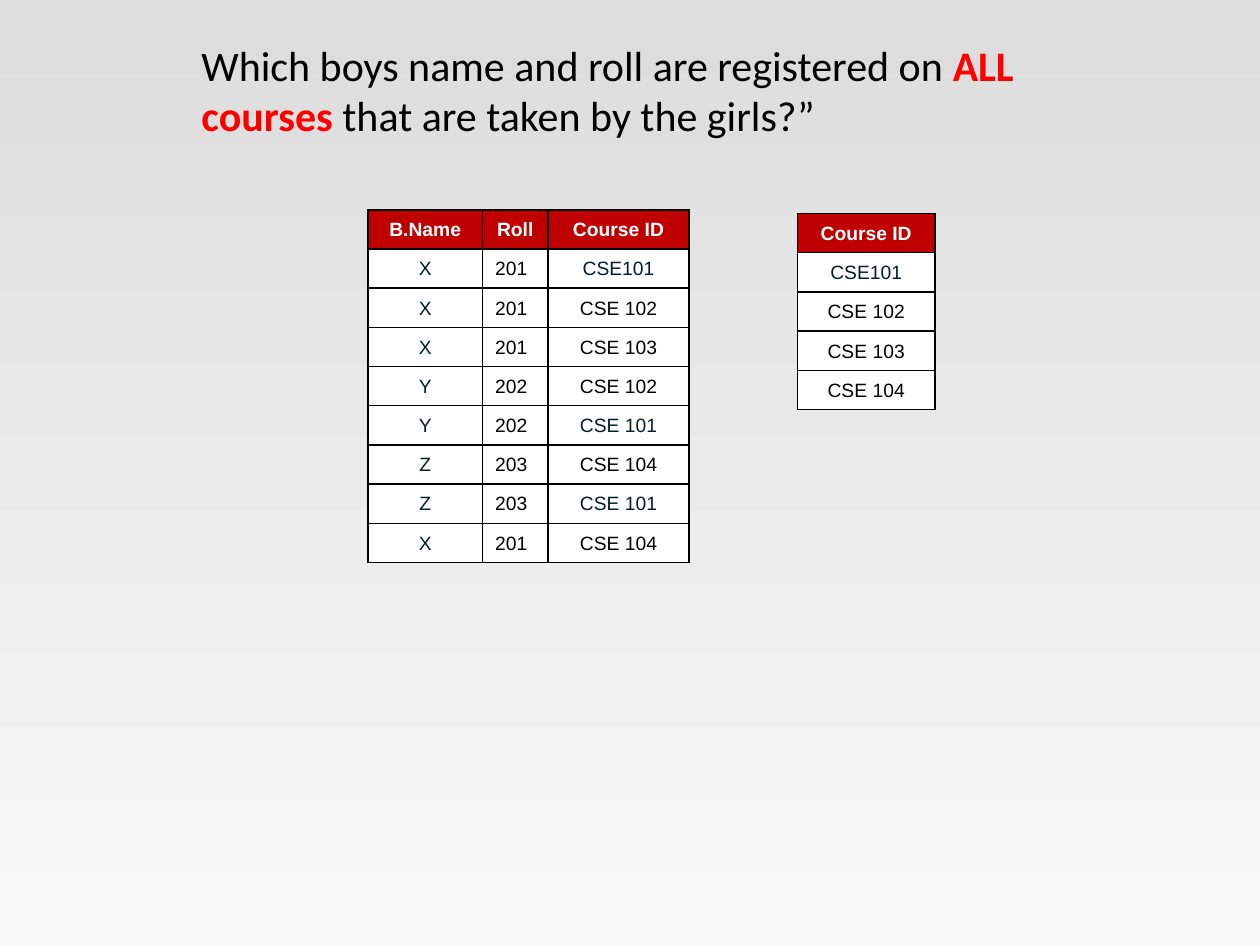
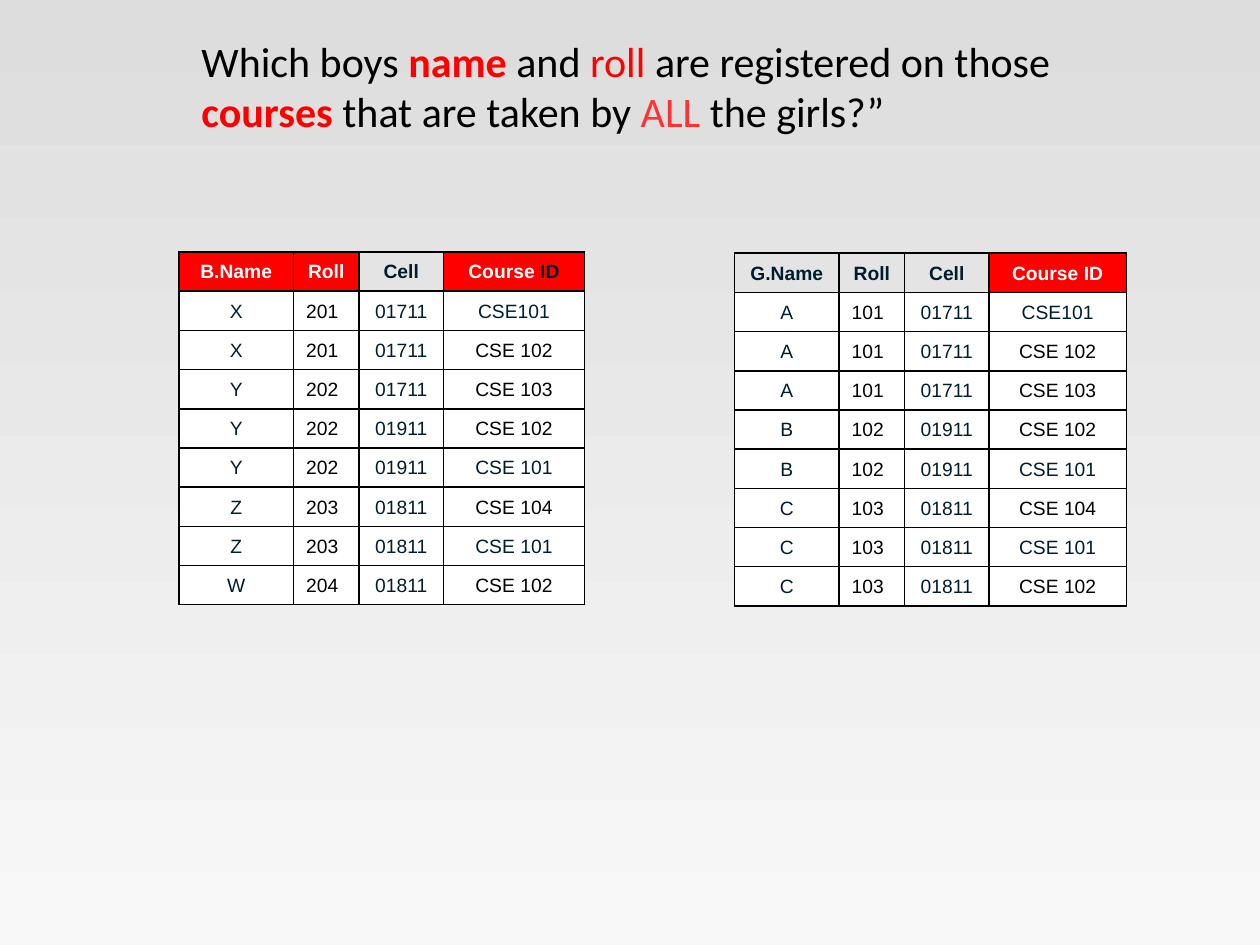
from dataclasses import dataclass

import pptx
import pptx.dml.color
import pptx.enum.text
import pptx.oxml
import pptx.oxml.ns
import pptx.util

# The slide is a grid of 100 columns by 100 rows.
WIDTH = pptx.util.Inches(10)
HEIGHT = pptx.util.Inches(7.5)
ROW_HEIGHT = 4.13

BLACK, WHITE, NAVY = "000000", "FFFFFF", "001D2E"
RED, SOFT_RED, DARK_RED = "FF0000", "FF3333", "C00000"
BACKGROUND = ("DDDDDD", "F8F8F8")

COURSE = "Course ID"
COLUMN_WIDTHS = {"B.Name": 9.1, "G.Name": 8.3, "Roll": 5.2, "Cell": 6.7}


@dataclass(frozen=True)
class Run:
    text: str
    color: str = BLACK
    bold: bool = False


@dataclass(frozen=True)
class Relation:
    left: float
    top: float
    headers: tuple[str, ...]
    rows: list[tuple[str, ...]]
    course_width: float = 10.9
    key_headers: tuple[str, ...] = ()
    key_fill: str = RED
    dark_header_words: tuple[str, ...] = ()


@dataclass(frozen=True)
class Question:
    top: float
    height: float
    runs: list[Run]
    relations: list[Relation]


def across(columns: float) -> int:
    return round(WIDTH * columns / 100)


def down(rows: float) -> int:
    return round(HEIGHT * rows / 100)


def rgb(color: str) -> pptx.dml.color.RGBColor:
    return pptx.dml.color.RGBColor.from_string(color)


def write(paragraph, runs: list[Run], font: str, size: float) -> None:
    paragraph.font.name = font
    paragraph.font.size = pptx.util.Pt(size)
    for part in runs:
        run = paragraph.add_run()
        run.text = part.text
        run.font.color.rgb = rgb(part.color)
        run.font.bold = part.bold


def add_borders(cell) -> None:
    """Put a black 1 pt line on each side; the lines must precede the fill."""
    properties = cell._tc.get_or_add_tcPr()
    for position, side in enumerate(("lnL", "lnR", "lnT", "lnB")):
        line = pptx.oxml.parse_xml(
            f'<a:{side} {pptx.oxml.ns.nsdecls("a")} w="{pptx.util.Pt(1)}">'
            f'<a:solidFill><a:srgbClr val="{BLACK}"/></a:solidFill></a:{side}>'
        )
        properties.insert(position, line)


def header_runs(header: str, relation: Relation) -> list[Run]:
    if header not in relation.key_headers:
        return [Run(header, NAVY, True)]
    first, *rest = header.split(" ")
    words = [first] + [f" {word}" for word in rest]
    return [Run(word, NAVY if word.strip() in relation.dark_header_words else WHITE, True)
            for word in words]


def value_color(header: str, value: str) -> str:
    is_black = header == "Roll" or (header == COURSE and not value.endswith("101"))
    return BLACK if is_black else NAVY


def fill_cell(cell, runs: list[Run], fill: str | None, centred: bool) -> None:
    if fill:
        cell.fill.solid()
        cell.fill.fore_color.rgb = rgb(fill)
    else:
        cell.fill.background()
    add_borders(cell)
    paragraph = cell.text_frame.paragraphs[0]
    paragraph.line_spacing = 1.15
    if centred:
        paragraph.alignment = pptx.enum.text.PP_ALIGN.CENTER
    write(paragraph, runs, "Arial", 11)


def add_relation(slide, relation: Relation) -> None:
    widths = [COLUMN_WIDTHS.get(header, relation.course_width) for header in relation.headers]
    row_count = len(relation.rows) + 1
    table = slide.shapes.add_table(
        row_count, len(widths), across(relation.left), down(relation.top),
        across(sum(widths)), down(ROW_HEIGHT * row_count)).table
    table.first_row = table.horz_banding = False
    for row in table.rows:
        row.height = down(ROW_HEIGHT)
    for index, (header, width) in enumerate(zip(relation.headers, widths)):
        table.columns[index].width = across(width)
        header_fill = relation.key_fill if header in relation.key_headers else None
        fill_cell(table.cell(0, index), header_runs(header, relation), header_fill, True)
        for number, values in enumerate(relation.rows, start=1):
            value = values[index]
            fill_cell(table.cell(number, index), [Run(value, value_color(header, value))],
                      WHITE, header != "Roll")


def add_question(deck, question: Question) -> None:
    slide = deck.slides.add_slide(deck.slide_layouts[6])
    fill = slide.background.fill
    fill.gradient()
    fill.gradient_angle = 270
    for stop, color in zip(fill.gradient_stops, BACKGROUND):
        stop.color.rgb = rgb(color)

    frame = slide.shapes.add_textbox(
        across(15), down(question.top), across(70.8), down(question.height)).text_frame
    frame.word_wrap = True
    frame.auto_size = pptx.enum.text.MSO_AUTO_SIZE.SHAPE_TO_FIT_TEXT
    write(frame.paragraphs[0], question.runs, "Calibri", 24)
    for relation in question.relations:
        add_relation(slide, relation)


ALL_COURSES = Question(
    top=3.47, height=12.13,
    runs=[
        Run("Which boys name and roll are registered on "),
        Run("ALL courses ", RED, True),
        Run("that are taken by the girls?”"),
    ],
    relations=[
        Relation(
            63.3, 22.6, (COURSE,),
            [("CSE101",), ("CSE 102",), ("CSE 103",), ("CSE 104",)],
            key_headers=(COURSE,), key_fill=DARK_RED),
        Relation(
            29.2, 22.2, ("B.Name", "Roll", COURSE),
            [
                ("X", "201", "CSE101"),
                ("X", "201", "CSE 102"),
                ("X", "201", "CSE 103"),
                ("Y", "202", "CSE 102"),
                ("Y", "202", "CSE 101"),
                ("Z", "203", "CSE 104"),
                ("Z", "203", "CSE 101"),
                ("X", "201", "CSE 104"),
            ],
            course_width=11.2, key_headers=("B.Name", "Roll", COURSE), key_fill=DARK_RED),
    ])

ALL_GIRLS = Question(
    top=3.07, height=17.47,
    runs=[
        Run("Which boys "),
        Run("name", RED, True),
        Run(" and"),
        Run(" roll ", RED),
        Run("are registered on those "),
        Run("courses", RED, True),
        Run(" that are taken by "),
        Run("ALL ", SOFT_RED),
        Run("the girls?”"),
    ],
    relations=[
        Relation(
            58.3, 26.8, ("G.Name", "Roll", "Cell", COURSE),
            [
                ("A", "101", "01711", "CSE101"),
                ("A", "101", "01711", "CSE 102"),
                ("A", "101", "01711", "CSE 103"),
                ("B", "102", "01911", "CSE 102"),
                ("B", "102", "01911", "CSE 101"),
                ("C", "103", "01811", "CSE 104"),
                ("C", "103", "01811", "CSE 101"),
                ("C", "103", "01811", "CSE 102"),
            ],
            key_headers=(COURSE,)),
        Relation(
            14.2, 26.67, ("B.Name", "Roll", "Cell", COURSE),
            [
                ("X", "201", "01711", "CSE101"),
                ("X", "201", "01711", "CSE 102"),
                ("Y", "202", "01711", "CSE 103"),
                ("Y", "202", "01911", "CSE 102"),
                ("Y", "202", "01911", "CSE 101"),
                ("Z", "203", "01811", "CSE 104"),
                ("Z", "203", "01811", "CSE 101"),
                ("W", "204", "01811", "CSE 102"),
            ],
            course_width=11.2, key_headers=("B.Name", "Roll", COURSE),
            dark_header_words=("ID",)),
    ])


def main() -> None:
    deck = pptx.Presentation()
    deck.slide_width, deck.slide_height = WIDTH, HEIGHT
    for question in (ALL_COURSES, ALL_GIRLS):
        add_question(deck, question)
    deck.save("out.pptx")


if __name__ == "__main__":
    main()
